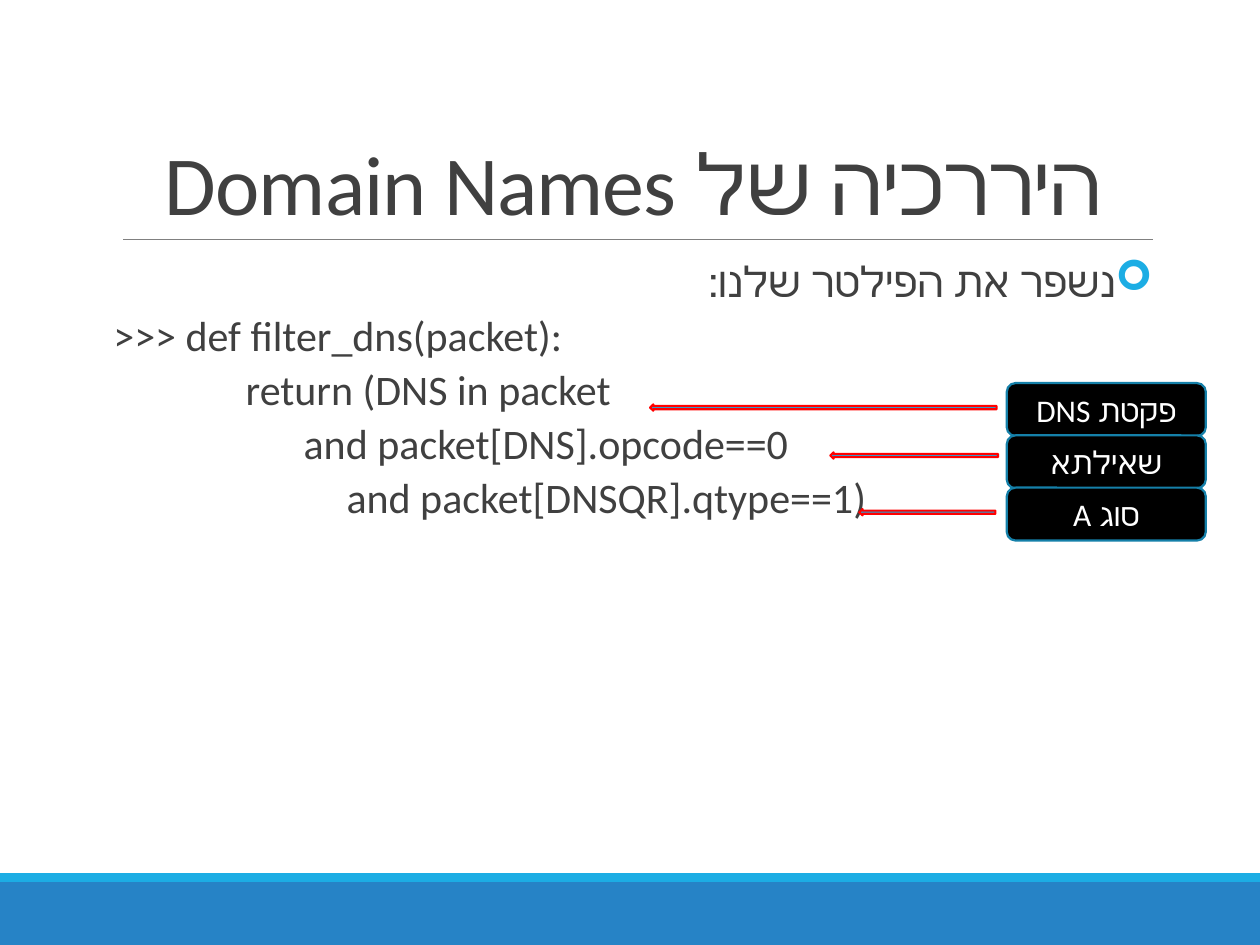
from lxml import etree
from pptx import Presentation
from pptx.dml.color import RGBColor
from pptx.enum import shapes, text
from pptx.oxml.ns import qn
from pptx.util import Inches, Pt

COLORS = {
    "text": "404040", "accent": "1CADE4", "band": "2683C6", "rule": "808080",
    "arrow": "FF0000", "label": "000000", "border": "1580A9", "white": "FFFFFF",
}


def add_block(parent, kind, box, fill, border=None):
    block = parent.add_shape(kind, *[Inches(n) for n in box])
    block.shadow.inherit = False
    block.fill.solid()
    block.fill.fore_color.rgb = RGBColor.from_string(COLORS[fill])
    if border:
        block.line.color.rgb = RGBColor.from_string(COLORS[border])
        block.line.width = Pt(1.25)
    else:
        block.line.fill.background()
    return block


def style_paragraph(paragraph, size, color, align, rtl=False):
    paragraph.alignment = align
    paragraph.font.size = Pt(size)
    paragraph.font.name = "Calibri"
    paragraph.font.color.rgb = RGBColor.from_string(COLORS[color])
    properties = paragraph._p.get_or_add_pPr()
    properties.set("rtl", "1" if rtl else "0")
    return properties


prs = Presentation()
prs.slide_width, prs.slide_height = Inches(10), Inches(7.5)
slide = prs.slides.add_slide(prs.slide_layouts[1])
title, body = slide.placeholders

add_block(slide.shapes, shapes.MSO_SHAPE.RECTANGLE, (0, 7, 10, 0.5), "band")
add_block(slide.shapes, shapes.MSO_SHAPE.RECTANGLE, (0, 6.93, 10, 0.07), "accent")
rule = slide.shapes.add_connector(
    shapes.MSO_CONNECTOR.STRAIGHT, Inches(0.98), Inches(1.9), Inches(9.15), Inches(1.9))
rule.line.color.rgb = RGBColor.from_string(COLORS["rule"])
rule.line.width = Pt(0.5)
etree.SubElement(rule._element.spPr, qn("a:effectLst"))

for holder, top, height in [(title, 0.31, 1.59), (body, 2.02, 4.88)]:
    holder.left, holder.top = Inches(0.9), Inches(top)
    holder.width, holder.height = Inches(8.25), Inches(height)
    holder.text_frame.auto_size = text.MSO_AUTO_SIZE.NONE

title.text_frame.text = "היררכיה של Domain Names"
title.text_frame.vertical_anchor = text.MSO_ANCHOR.BOTTOM
heading = title.text_frame.paragraphs[0]
heading.line_spacing = 0.85
heading_properties = style_paragraph(heading, 48, "text", text.PP_ALIGN.CENTER, rtl=True)
heading_properties.find(qn("a:defRPr")).set("spc", "-50")

body.text_frame.margin_left = body.text_frame.margin_right = 0
code_lines = [
    (">>> def filter_dns(packet):", 0),
    ("return (DNS in packet", 1.05),
    ("and packet[DNS].opcode==0", 1.51),
    ("and packet[DNSQR].qtype==1)", 1.85),
]
intro = body.text_frame.paragraphs[0]
intro.text = "נשפר את הפילטר שלנו:"
intro_properties = intro._p.get_or_add_pPr()
intro_properties.set("marL", str(Inches(0.1)))
intro_properties.set("indent", str(Inches(-0.1)))
bullet_color = etree.SubElement(intro_properties, qn("a:buClr"))
etree.SubElement(bullet_color, qn("a:srgbClr"), val=COLORS["accent"])
etree.SubElement(intro_properties, qn("a:buFont"), typeface="Wingdings")
etree.SubElement(intro_properties, qn("a:buChar"), char="➢")
intro.space_before = Pt(12)
style_paragraph(intro, 24, "text", text.PP_ALIGN.RIGHT, rtl=True)

for code, indent in code_lines:
    line = body.text_frame.add_paragraph()
    line.text = code
    line_properties = line._p.get_or_add_pPr()
    line_properties.set("marL", str(Inches(indent)))
    line_properties.set("indent", "0")
    etree.SubElement(line_properties, qn("a:buNone"))
    line.space_before = Pt(3)
    style_paragraph(line, 24, "text", text.PP_ALIGN.LEFT)

for paragraph in body.text_frame.paragraphs:
    paragraph.line_spacing = 0.9
    paragraph.space_after = Pt(2)

callouts = slide.shapes.add_group_shape().shapes
for left, top, width in [(5.16, 3.21, 2.75), (6.59, 3.59, 1.33), (6.82, 4.04, 1.08)]:
    arrow = add_block(callouts, shapes.MSO_SHAPE.RIGHT_ARROW,
                      (left, top, width, 0.05), "accent", "arrow")
    arrow.rotation = 180

for row, caption in enumerate(["פקטת DNS", "שאילתא", "סוג A"]):
    label = add_block(callouts, shapes.MSO_SHAPE.ROUNDED_RECTANGLE,
                      (7.99, 3.04 + row * 0.415, 1.58, 0.42), "label", "border")
    label.text_frame.text = caption
    label.text_frame.vertical_anchor = text.MSO_ANCHOR.MIDDLE
    style_paragraph(label.text_frame.paragraphs[0], 18, "white",
                    text.PP_ALIGN.CENTER, rtl=True)

prs.save("out.pptx")
